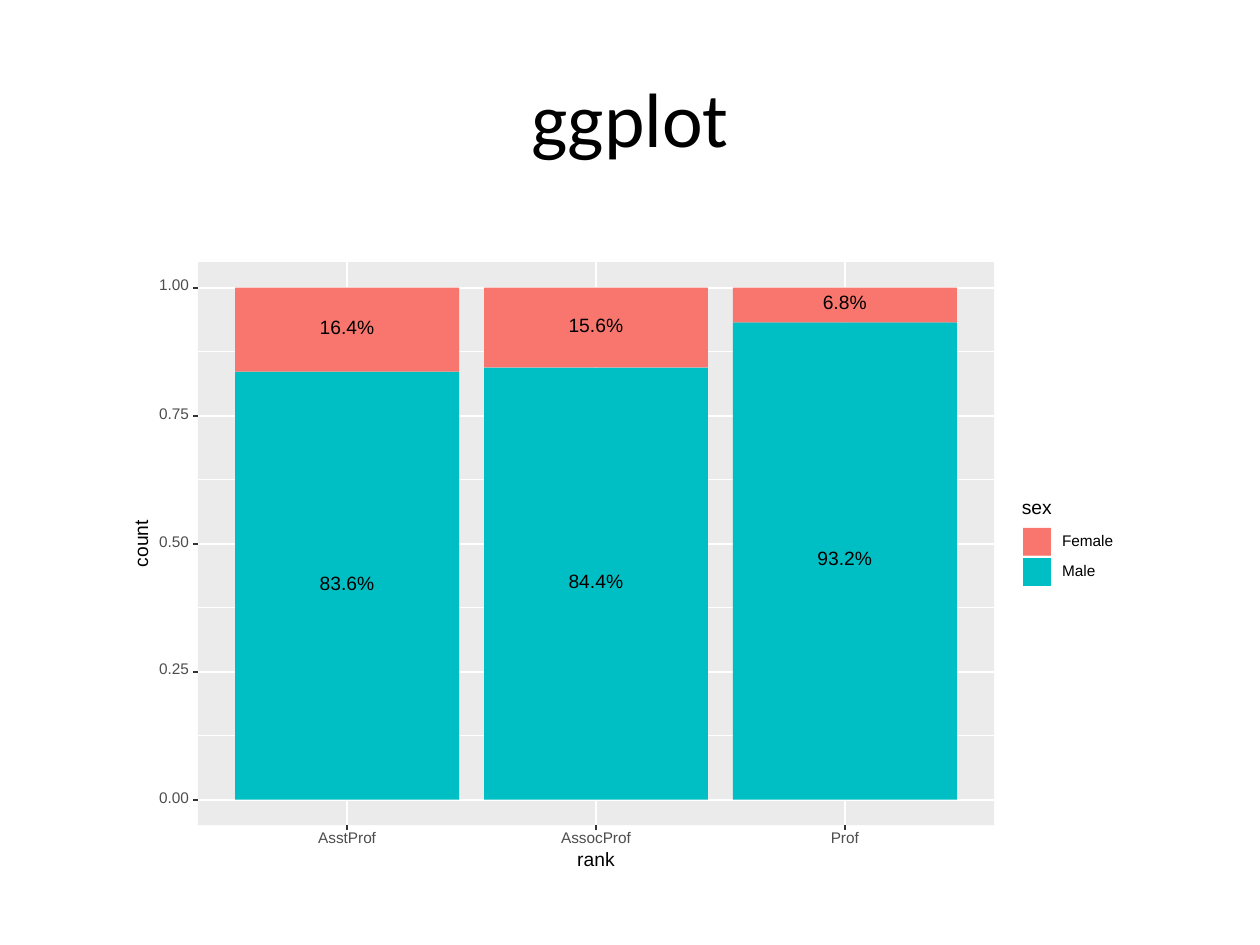
import pptx
import pptx.dml.color
import pptx.enum.shapes
import pptx.enum.text
import pptx.oxml
import pptx.util

Inches = pptx.util.Inches
Pt = pptx.util.Pt
RGBColor = pptx.dml.color.RGBColor
ALIGN = pptx.enum.text.PP_ALIGN
MIDDLE = pptx.enum.text.MSO_ANCHOR.MIDDLE
RECTANGLE = pptx.enum.shapes.MSO_SHAPE.RECTANGLE
STRAIGHT = pptx.enum.shapes.MSO_CONNECTOR.STRAIGHT

WHITE = RGBColor(0xFF, 0xFF, 0xFF)
BLACK = RGBColor(0, 0, 0)
PANEL_GRAY = RGBColor(0xEB, 0xEB, 0xEB)
KEY_GRAY = RGBColor(0xF2, 0xF2, 0xF2)
TICK_GRAY = RGBColor(0x33, 0x33, 0x33)
LABEL_GRAY = RGBColor(0x4D, 0x4D, 0x4D)
CORAL = RGBColor(0xF8, 0x76, 0x6D)
TEAL = RGBColor(0x00, 0xBF, 0xC4)

TITLE = "ggplot"
RANKS = [("AsstProf", 0.48, 83.6, 16.4), ("AssocProf", 0.58, 84.4, 15.6), ("Prof", 0.24, 93.2, 6.8)]
SEXES = [("Female", 0.43, CORAL), ("Male", 0.28, TEAL)]
MAJOR = [0, 0.25, 0.5, 0.75, 1]
MINOR = [0.125, 0.375, 0.625, 0.875]

LEFT, TOP, WIDTH, HEIGHT = 1.57, 2.08, 6.32, 4.47
RIGHT, BOTTOM = LEFT + WIDTH, TOP + HEIGHT
STEP = WIDTH / (len(RANKS) + 0.2)
BAR_WIDTH = 0.9 * STEP
UNIT = HEIGHT / 1.1
TICK = 0.04
THIN, THICK = 0.53, 1.07
SMALL, REGULAR = 8.8, 11
TOP_SITE, LEFT_SITE, BOTTOM_SITE, RIGHT_SITE = range(4)


def rank_x(index):
    return LEFT + (index + 0.6) * STEP


def share_y(share):
    return BOTTOM - (share + 0.05) * UNIT


def apply(target, formats):
    for name, value in formats.items():
        setattr(target, name, value)


def add_box(shapes, left, top, width, height, fill, outline=None):
    box = shapes.add_shape(RECTANGLE, Inches(left), Inches(top), Inches(width), Inches(height))
    box.shadow.inherit = False
    box.fill.solid()
    box.fill.fore_color.rgb = fill
    if outline is None:
        box.line.fill.background()
    else:
        box.line.color.rgb = outline
        box.line.width = Pt(THICK)
    return box


def add_line(shapes, start, end, color, weight, panel=None, begin_site=None, end_site=None):
    line = shapes.add_connector(STRAIGHT, *(Inches(value) for value in start + end))
    line.line.color.rgb = color
    line.line.width = Pt(weight)
    properties = line.element.spPr
    properties.append(properties.makeelement(pptx.oxml.ns.qn("a:effectLst"), {}))
    if begin_site is not None:
        line.begin_connect(panel, begin_site)
    if end_site is not None:
        line.end_connect(panel, end_site)


def add_label(shapes, text, center_x, center_y, width, size, color=BLACK, align=ALIGN.CENTER, rotation=0):
    height = size / 100
    label = shapes.add_textbox(
        Inches(center_x - width / 2), Inches(center_y - height / 2), Inches(width), Inches(height)
    )
    label.rotation = rotation
    frame = label.text_frame
    apply(frame, {
        "margin_left": 0, "margin_right": 0, "margin_top": 0, "margin_bottom": 0,
        "word_wrap": False, "vertical_anchor": MIDDLE, "text": text,
    })
    paragraph = frame.paragraphs[0]
    apply(paragraph, {"alignment": align, "line_spacing": Pt(size)})
    font = paragraph.runs[0].font
    apply(font, {"name": "Arial", "size": Pt(size)})
    font.color.rgb = color


def add_grid(shapes, panel):
    for shares, weight in ((MINOR, THIN), (MAJOR, THICK)):
        for share in shares:
            y = share_y(share)
            sites = (LEFT_SITE, RIGHT_SITE) if share == 0.5 else (None, None)
            add_line(shapes, (LEFT, y), (RIGHT, y), WHITE, weight, panel, *sites)
    for index in range(len(RANKS)):
        x = rank_x(index)
        sites = (BOTTOM_SITE, TOP_SITE) if index == 1 else (None, None)
        add_line(shapes, (x, BOTTOM), (x, TOP), WHITE, THICK, panel, *sites)


def add_bars(shapes):
    for index, (rank, rank_width, male, female) in enumerate(RANKS):
        x = rank_x(index)
        base = 0
        for percent, color in ((male, TEAL), (female, CORAL)):
            share = percent / 100
            top = share_y(base + share)
            add_box(shapes, x - BAR_WIDTH / 2, top, BAR_WIDTH, share * UNIT, color)
            width = 0.46 if percent >= 10 else 0.37
            add_label(shapes, f"{percent}%", x, top + share * UNIT / 2 - 0.01, width, REGULAR)
            base += share


def add_axes(shapes, panel):
    for share in MAJOR:
        y = share_y(share)
        add_label(shapes, f"{share:.2f}", 1.37, y - 0.01, 0.26, SMALL, LABEL_GRAY, ALIGN.RIGHT)
        site = LEFT_SITE if share == 0.5 else None
        add_line(shapes, (LEFT - TICK, y), (LEFT, y), TICK_GRAY, THICK, panel, end_site=site)
    for index, (rank, rank_width, male, female) in enumerate(RANKS):
        x = rank_x(index)
        site = BOTTOM_SITE if index == 1 else None
        add_line(shapes, (x, BOTTOM + TICK), (x, BOTTOM), TICK_GRAY, THICK, panel, end_site=site)
        add_label(shapes, rank, x, 6.66, rank_width, SMALL, LABEL_GRAY)
    add_label(shapes, "rank", LEFT + WIDTH / 2, 6.83, 0.32, REGULAR)
    add_label(shapes, "count", 1.13, TOP + HEIGHT / 2, 0.4, REGULAR, rotation=270)


def add_legend(shapes):
    add_box(shapes, 8.04, 3.89, 0.89, 0.85, WHITE)
    add_label(shapes, "sex", 8.24, 4.04, 0.26, REGULAR, align=ALIGN.LEFT)
    key = 0.24
    for index, (sex, width, color) in enumerate(SEXES):
        top = 4.18 + index * key
        add_box(shapes, 8.11, top, key, key, KEY_GRAY, WHITE)
        add_box(shapes, 8.12, top + 0.01, 0.22, 0.22, color)
        add_label(shapes, sex, 8.43 + width / 2, top + key / 2, width, SMALL, align=ALIGN.LEFT)


def main():
    deck = pptx.Presentation()
    apply(deck, {"slide_width": Inches(10), "slide_height": Inches(7.5)})
    slide = deck.slides.add_slide(deck.slide_layouts[5])
    title = slide.shapes.title
    apply(title, {"left": Inches(0.5), "top": Inches(0.3), "width": Inches(9), "height": Inches(1.25)})
    apply(title.text_frame, {"text": TITLE, "vertical_anchor": MIDDLE})
    heading = title.text_frame.paragraphs[0]
    heading.alignment = ALIGN.CENTER
    apply(heading.runs[0].font, {"name": "Calibri", "size": Pt(44)})
    heading.runs[0].font.color.rgb = BLACK

    plot = slide.shapes.add_group_shape().shapes
    add_box(plot, 1, 2, 8, 5, WHITE, WHITE)
    panel = add_box(plot, LEFT, TOP, WIDTH, HEIGHT, PANEL_GRAY)
    add_grid(plot, panel)
    add_bars(plot)
    add_axes(plot, panel)
    add_legend(plot)
    deck.save("out.pptx")


if __name__ == "__main__":
    main()
